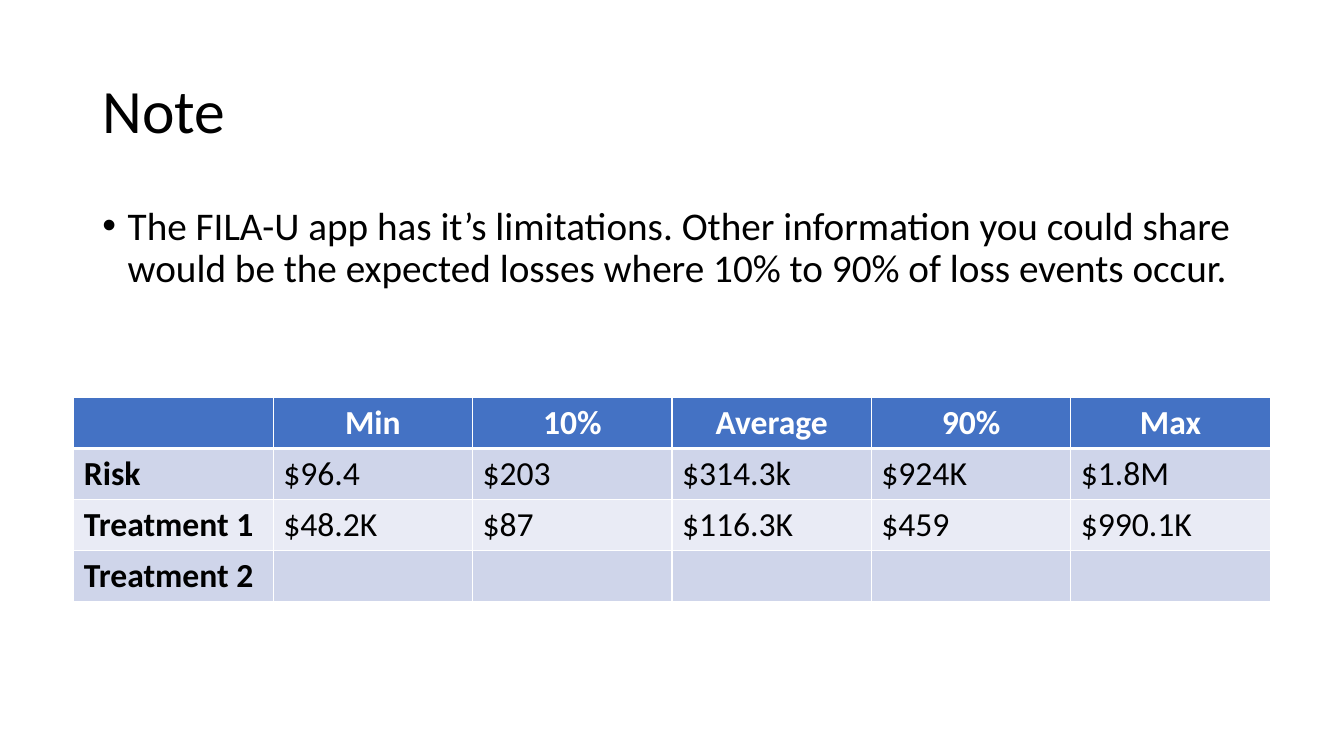
from lxml.etree import SubElement
from pptx import Presentation
from pptx.dml.color import RGBColor
from pptx.enum.text import MSO_VERTICAL_ANCHOR as Anchor, PP_PARAGRAPH_ALIGNMENT as Align
from pptx.oxml.ns import qn
from pptx.util import Cm, Pt

FONT = "Calibri"
COLORS = {
    "text": "000000",
    "line": "FFFFFF",
    "header": "4472C4",
    "odd": "CFD5EA",
    "even": "E9EBF5",
}
LOSSES = [
    ["", "Min", "10%", "Average", "90%", "Max"],
    ["Risk", "$96.4", "$203", "$314.3k", "$924K", "$1.8M"],
    ["Treatment 1", "$48.2K", "$87", "$116.3K", "$459", "$990.1K"],
    ["Treatment 2", "", "", "", "", ""],
]


def style_runs(para, size, color="text", bold=False):
    for span in para.runs:
        span.font.name = FONT
        span.font.size = Pt(size)
        span.font.bold = bold
        span.font.color.rgb = RGBColor.from_string(COLORS[color])


def add_text(page, box, text, size, anchor):
    frame = page.shapes.add_textbox(*map(Cm, box)).text_frame
    frame.word_wrap = True
    frame.vertical_anchor = anchor
    frame.text = text
    para = frame.paragraphs[0]
    para.line_spacing = 0.9
    style_runs(para, size)
    return para


def add_title(page, box):
    add_text(page, box, "Note", 44, Anchor.MIDDLE)


def add_body(page, box):
    text = (
        "The FILA-U app has it’s limitations. Other information you could share "
        "would be the expected losses where 10% to 90% of loss events occur."
    )
    para = add_text(page, box, text, 28, Anchor.TOP)
    props = para._p.get_or_add_pPr()
    props.set("marL", str(Cm(0.64)))
    props.set("indent", str(-Cm(0.64)))
    SubElement(props, qn("a:buFont"), typeface="Arial")
    SubElement(props, qn("a:buChar"), char="•")


def add_borders(cell, bottom):
    props = cell._tc.get_or_add_tcPr()
    for side, width in (("L", 1), ("R", 1), ("T", 1), ("B", bottom)):
        line = SubElement(props, qn(f"a:ln{side}"), w=str(Pt(width)))
        fill = SubElement(line, qn("a:solidFill"))
        SubElement(fill, qn("a:srgbClr"), val=COLORS["line"])


def add_loss_table(page, box):
    left, top, width, height = map(Cm, box)
    table = page.shapes.add_table(
        len(LOSSES), len(LOSSES[0]), left, top, width, height
    ).table
    table.first_col = True
    for row, values in enumerate(LOSSES):
        is_header = row == 0
        fill = "header" if is_header else "odd" if row % 2 else "even"
        for column, value in enumerate(values):
            cell = table.cell(row, column)
            add_borders(cell, 3 if is_header else 1)
            cell.fill.solid()
            cell.fill.fore_color.rgb = RGBColor.from_string(COLORS[fill])
            cell.text_frame.text = value
            para = cell.text_frame.paragraphs[0]
            para.alignment = Align.CENTER if is_header else Align.LEFT
            style_runs(para, 24, "line" if is_header else "text", is_header or column == 0)


def main():
    deck = Presentation()
    deck.slide_width = Cm(33.87)
    deck.slide_height = Cm(19.05)
    page = deck.slides.add_slide(deck.slide_layouts[6])
    add_title(page, (2.33, 1.01, 29.21, 3.68))
    add_body(page, (2.33, 5.07, 29.21, 12.09))
    add_loss_table(page, (1.86, 10.02, 30.15, 5.14))
    deck.save("out.pptx")


if __name__ == "__main__":
    main()
